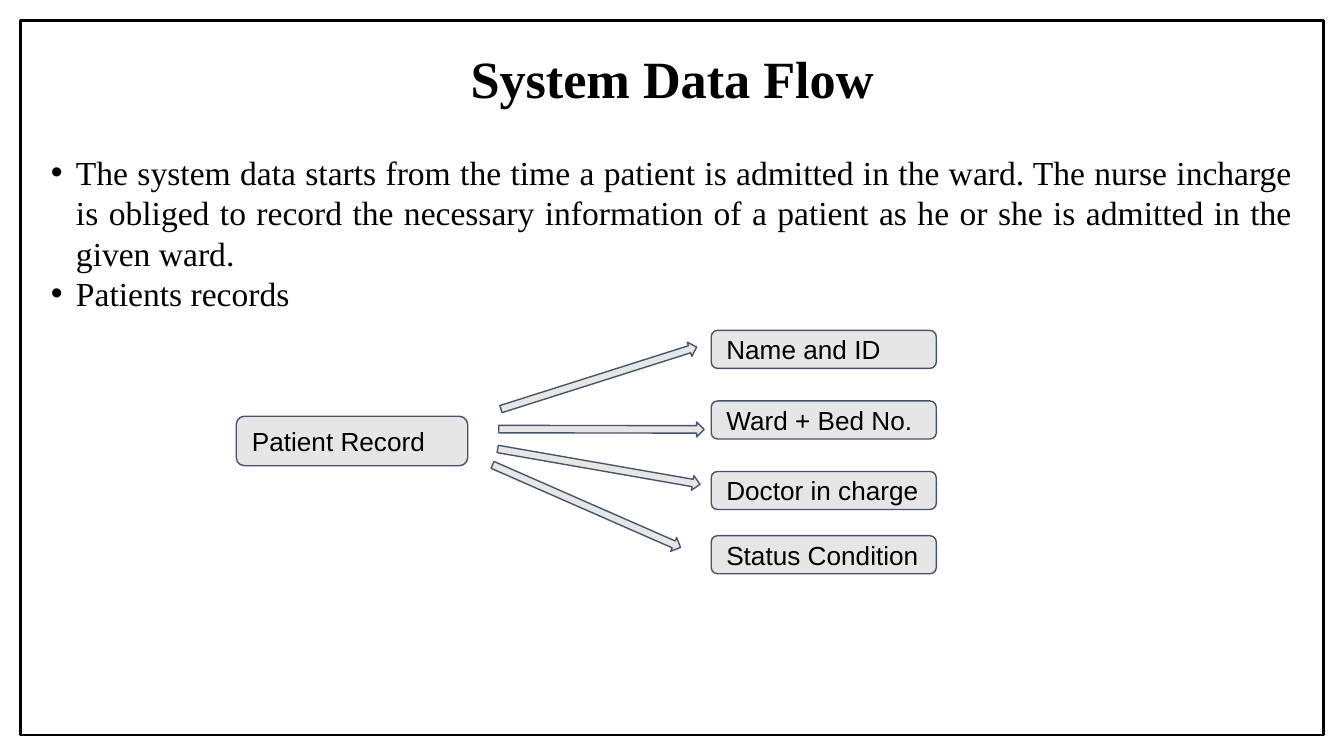
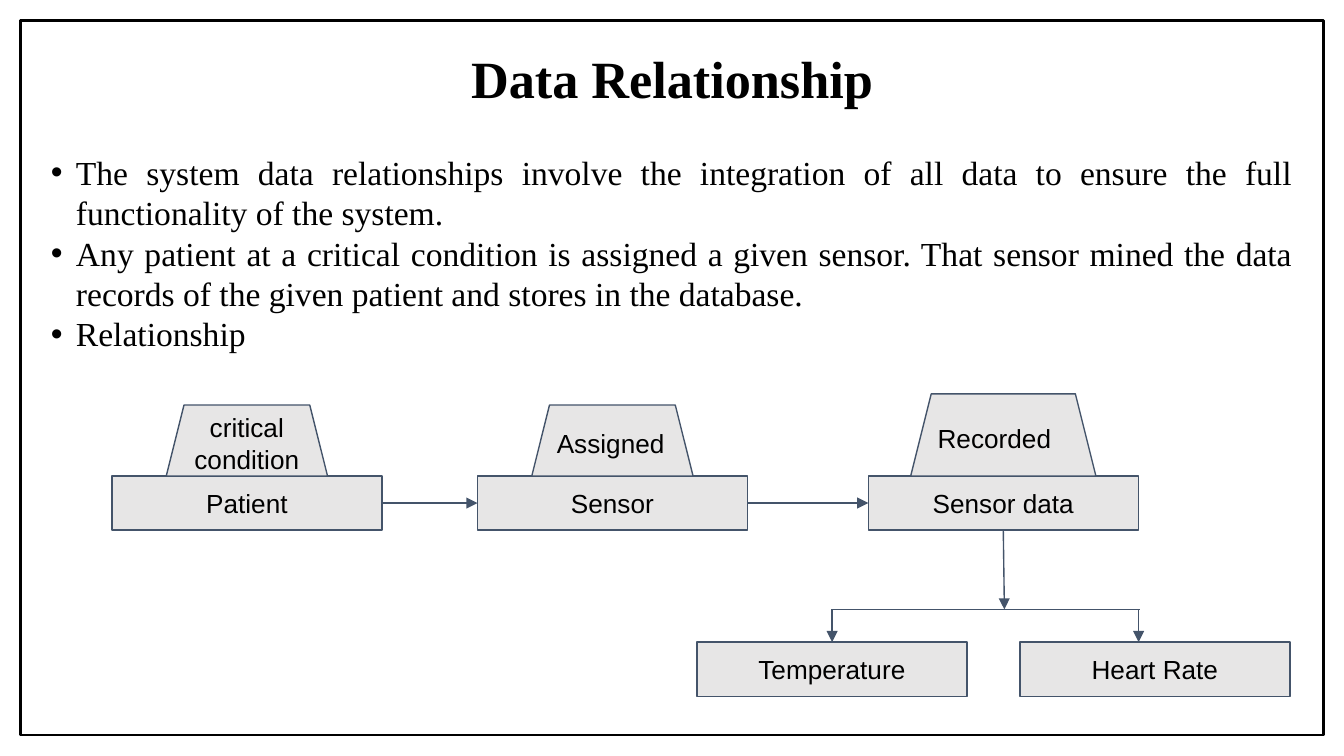
from lxml.etree import SubElement
from pptx import Presentation
from pptx.dml.color import RGBColor
from pptx.enum.shapes import MSO_CONNECTOR as CONNECTOR, MSO_SHAPE as SHAPE
from pptx.enum.text import MSO_ANCHOR as ANCHOR, MSO_AUTO_SIZE as AUTO_SIZE, PP_ALIGN as ALIGN
from pptx.oxml.ns import qn
from pptx.util import Pt

BLACK, GREY, SLATE = "000000", "E7E6E6", "44546A"
SERIF, SANS = "Times New Roman", "Arial"
BOX_W, BOX_H = 144.6, 29


def color(value):
    return RGBColor.from_string(value)


def write(p, text, font=SANS, size=14, bold=False, align=ALIGN.LEFT, spacing=1.0):
    p.alignment = align
    p.line_spacing = spacing
    p.space_before = p.space_after = Pt(0)
    r = p.add_run()
    r.text = text
    r.font.name = font
    r.font.size = Pt(size)
    r.font.bold = bold
    r.font.color.rgb = color(BLACK)


def set_frame(tf, anchor, inset_x=7.2, inset_y=3.6):
    tf.word_wrap = True
    tf.auto_size = AUTO_SIZE.NONE
    tf.vertical_anchor = anchor
    tf.margin_left = tf.margin_right = Pt(inset_x)
    tf.margin_top = tf.margin_bottom = Pt(inset_y)


def place(sp, left, top, width, height):
    sp.left, sp.top, sp.width, sp.height = map(Pt, (left, top, width, height))


def add_shape(slide, kind, left, top, width, height, fill=GREY, line=SLATE, weight=0.75):
    sp = slide.shapes.add_shape(kind, *map(Pt, (left, top, width, height)))
    sp.shadow.inherit = False
    if fill:
        sp.fill.solid()
        sp.fill.fore_color.rgb = color(fill)
    else:
        sp.fill.background()
    sp.line.color.rgb = color(line)
    sp.line.width = Pt(weight)
    return sp


def add_box(slide, text, left, top, width=BOX_W, height=BOX_H, kind=SHAPE.RECTANGLE,
            align=ALIGN.CENTER):
    sp = add_shape(slide, kind, left, top, width, height)
    set_frame(sp.text_frame, ANCHOR.MIDDLE, inset_y=7.2)
    write(sp.text_frame.paragraphs[0], text, align=align)


def add_block_arrow(slide, center_x, center_y, angle, length=110, height=8):
    sp = add_shape(slide, SHAPE.RIGHT_ARROW, center_x - length / 2, center_y - height / 2,
                   length, height)
    sp.rotation = angle


def add_line(slide, x1, y1, x2, y2, arrow=True):
    cx = slide.shapes.add_connector(CONNECTOR.STRAIGHT, *map(Pt, (x1, y1, x2, y2)))
    cx.line.color.rgb = color(SLATE)
    cx.line.width = Pt(0.75)
    if arrow:
        SubElement(cx.line._get_or_add_ln(), qn("a:tailEnd"), type="triangle")
    SubElement(cx._element.spPr, qn("a:effectLst"))


def add_slide(prs, title, bullets):
    """Add a framed slide with its title and bulleted text."""
    slide = prs.slides.add_slide(prs.slide_layouts[1])
    border = add_shape(slide, SHAPE.RECTANGLE, 10.8, 10.8, 698.4, 383,
                       fill=None, line=BLACK, weight=1.5)
    slide.shapes._spTree.insert(2, border._element)

    heading, body = slide.placeholders
    place(heading, 20, 21.6, 680, 44)
    set_frame(heading.text_frame, ANCHOR.MIDDLE)
    write(heading.text_frame.paragraphs[0], title, font=SERIF, size=28, bold=True,
          align=ALIGN.CENTER, spacing=0.9)

    place(body, 20, 77.8, 680, 311)
    tf = body.text_frame
    set_frame(tf, ANCHOR.TOP)
    for i, text in enumerate(bullets):
        p = tf.add_paragraph() if i else tf.paragraphs[0]
        write(p, text, font=SERIF, size=18, align=ALIGN.JUSTIFY)
        pPr = p._p.get_or_add_pPr()
        pPr.set("marL", str(Pt(13.5)))
        pPr.set("indent", str(-Pt(13.5)))
    return slide


def add_data_flow(prs):
    slide = add_slide(prs, "System Data Flow", [
        "The system data starts from the time a patient is admitted in the ward. The nurse "
        "incharge is obliged to record the necessary information of a patient as he or she "
        "is admitted in the given ward. ",
        "Patients records",
    ])
    rounded = {"kind": SHAPE.ROUNDED_RECTANGLE, "align": ALIGN.LEFT}
    add_box(slide, "Patient Record", 126.6, 223, 124, 26.5, **rounded)
    fields = [("Name and ID", 177), ("Ward + Bed No.", 214.8),
              ("Doctor in charge", 252.6), ("Status Condition", 287)]
    for text, top in fields:
        add_box(slide, text, 381, top, 120.6, 20.4, **rounded)
    arrows = [(320.8, 202.6, -17.6), (322.2, 230, 0.1), (320.8, 250, 9.9), (314.2, 271.2, 23.7)]
    for center_x, center_y, angle in arrows:
        add_block_arrow(slide, center_x, center_y, angle)


def add_data_relationship(prs):
    slide = add_slide(prs, "Data Relationship", [
        "The system data relationships involve the integration of all data to ensure the "
        "full functionality of the system.",
        "Any patient at a critical condition is assigned a given sensor. That sensor mined "
        "the data records of the given patient and stores in the database.",
        "Relationship",
    ])
    entity_top, reading_top, branch_y = 255, 344, 326.5
    entities = [
        ("Patient", 60, "critical condition", 86.4, 38, ALIGN.CENTER),
        ("Sensor", 255.8, "Assigned", 86.4, 38, ALIGN.LEFT),
        ("Sensor data", 465.2, "Recorded", 99.2, 44, ALIGN.LEFT),
    ]
    for name, left, state, width, height, align in entities:
        add_box(slide, name, left, entity_top)
        add_box(slide, state, left + (BOX_W - width) / 2, entity_top - height, width, height,
                kind=SHAPE.TRAPEZOID, align=align)
    middle = entity_top + BOX_H / 2
    lefts = [entity[1] for entity in entities]
    for left, next_left in zip(lefts, lefts[1:]):
        add_line(slide, left + BOX_W, middle, next_left, middle)

    data_x = lefts[-1] + BOX_W / 2
    add_line(slide, data_x, entity_top + BOX_H, data_x + 0.6, branch_y)
    readings = [("Temperature", 373.4, 445.8), ("Heart Rate", 546.4, 610)]
    for name, left, arrow_x in readings:
        add_box(slide, name, left, reading_top)
        add_line(slide, arrow_x, branch_y, arrow_x, reading_top)
    add_line(slide, 446, branch_y, 611, branch_y, arrow=False)


def main():
    prs = Presentation()
    prs.slide_width, prs.slide_height = Pt(720), Pt(405)
    add_data_flow(prs)
    add_data_relationship(prs)
    prs.save("out.pptx")


if __name__ == "__main__":
    main()
